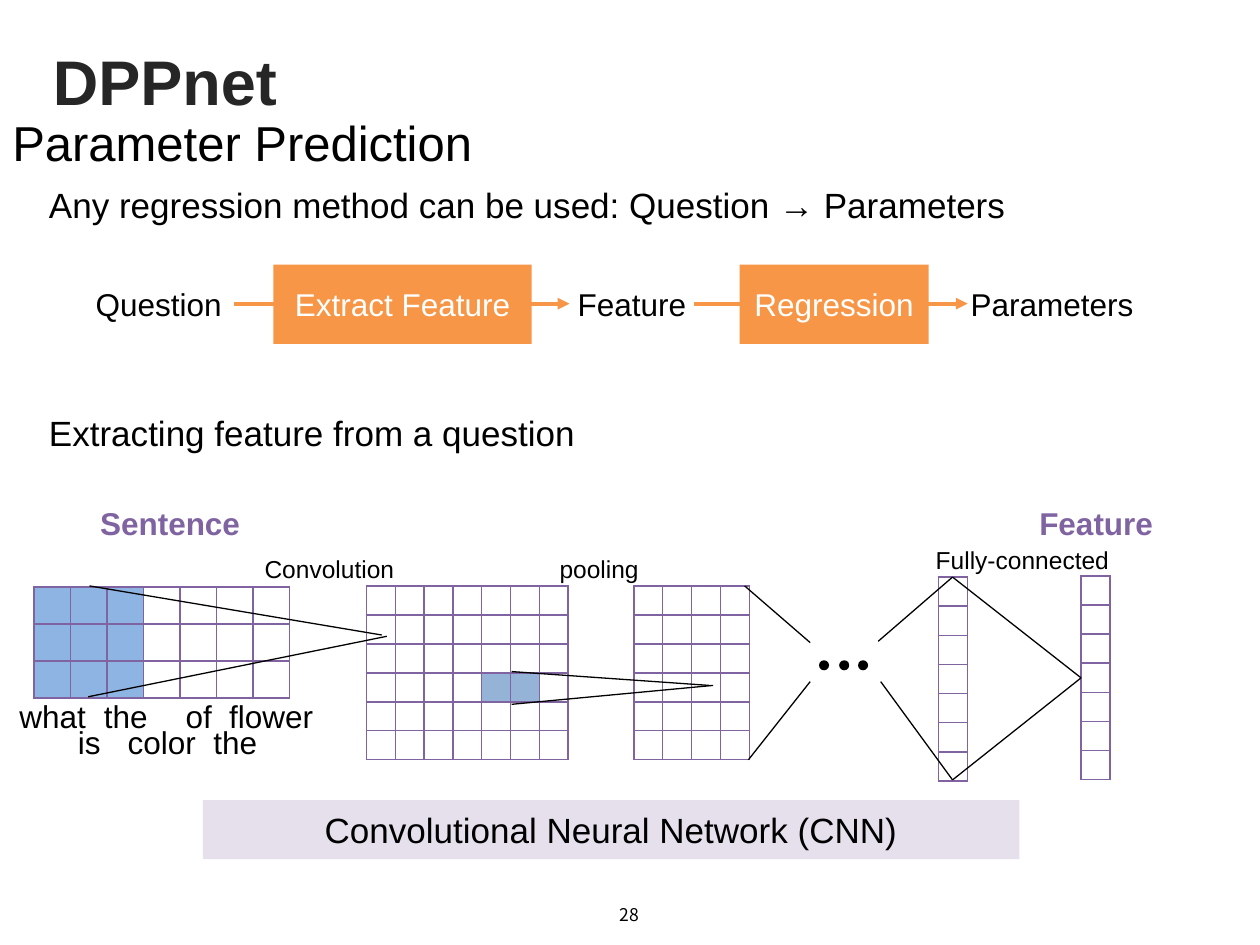
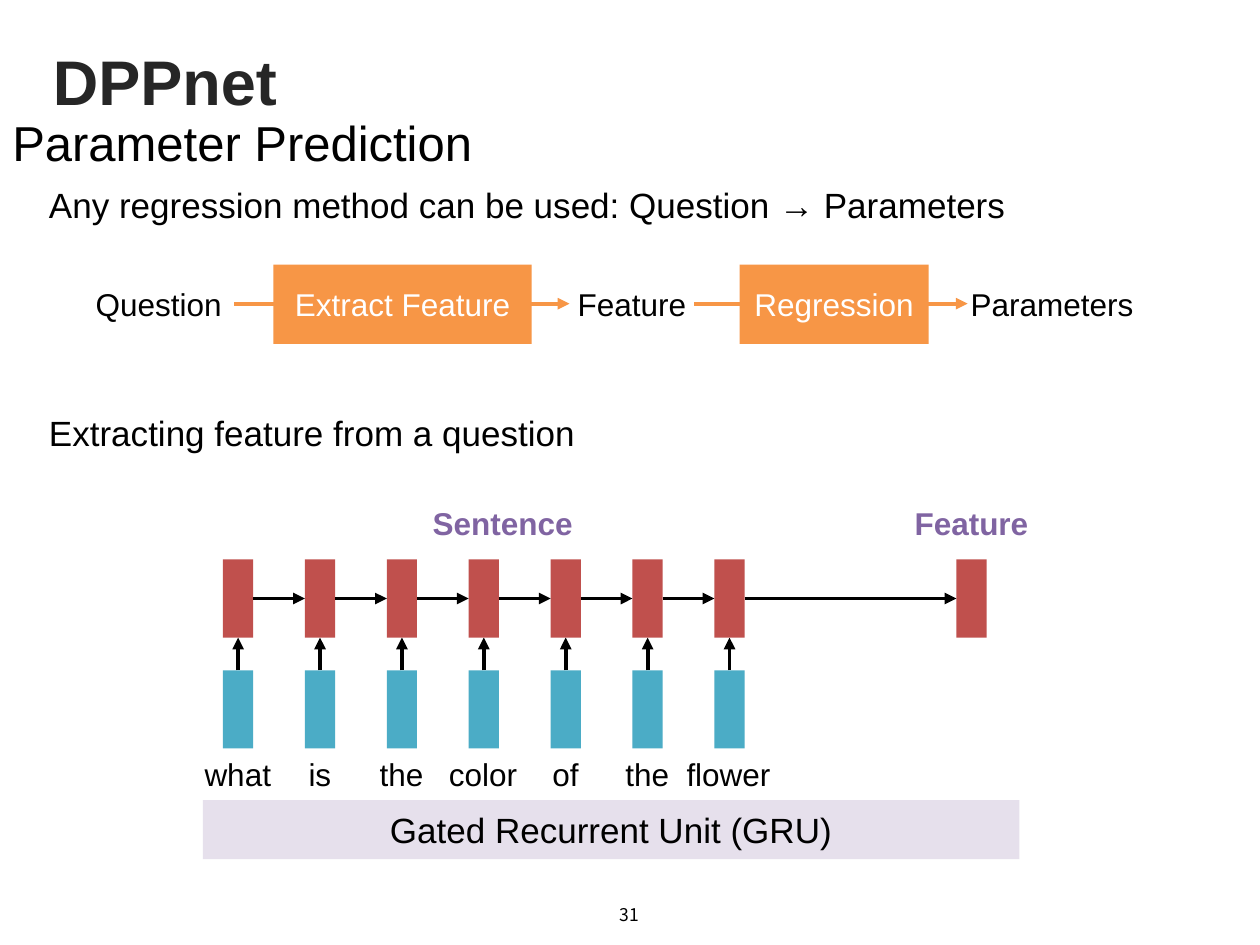
from dataclasses import dataclass, field
from itertools import pairwise
from typing import Any, NamedTuple

import lxml.etree
import pptx
import pptx.dml.color
import pptx.enum.shapes
import pptx.enum.text
import pptx.oxml.ns
import pptx.slide
import pptx.util

Inches = pptx.util.Inches
Align = pptx.enum.text.PP_ALIGN
Anchor = pptx.enum.text.MSO_ANCHOR
Fit = pptx.enum.text.MSO_AUTO_SIZE
Shape = pptx.enum.shapes.MSO_SHAPE
Slide = pptx.slide.Slide
qn = pptx.oxml.ns.qn


@dataclass(frozen=True)
class Theme:
    font: str = "Arial"
    page_font: str = "Noto Sans CJK KR"
    black: str = "000000"
    white: str = "FFFFFF"
    title: str = "262626"
    orange: str = "F79646"
    purple: str = "8064A2"
    pale: str = "E6E0EC"
    sky: str = "8EB4E3"
    steel: str = "95B3D7"
    red: str = "C0504D"
    teal: str = "4BACC6"
    title_size: int = 36
    head_size: int = 28
    body_size: int = 20
    label_size: int = 18
    note_size: int = 14
    page_size: int = 10
    cell_size: int = 6
    thin: float = 0.75
    grid: float = 1
    thick: float = 2.25


THEME = Theme()


class Box(NamedTuple):
    left: float
    top: float
    width: float
    height: float


class Line(NamedTuple):
    x1: float
    y1: float
    x2: float
    y2: float


class Word(NamedTuple):
    text: str
    width: float


@dataclass(frozen=True)
class Style:
    size: int = THEME.label_size
    color: str = THEME.black
    bold: bool = False
    font: str = THEME.font
    align: Any = Align.CENTER
    frame: dict = field(default_factory=dict)


@dataclass(frozen=True)
class Grid:
    box: Box
    cols: int
    rows: int
    fill: str = THEME.white
    marked: tuple = ()


PLAIN = Style()
FLUSH = Style(frame=dict.fromkeys(
    ("margin_left", "margin_right", "margin_top", "margin_bottom"), 0))
TITLE = Style(THEME.title_size, THEME.title, True, align=Align.LEFT)
HEAD = Style(THEME.head_size, align=Align.LEFT)
BODY = Style(THEME.body_size, align=Align.LEFT)
BAND = Style(THEME.body_size)
STAGE = Style(color=THEME.white)
TAG = Style(color=THEME.purple, bold=True)
NOTE = Style(THEME.note_size)
PAGE = Style(THEME.page_size, font=THEME.page_font)
WORD = Style(align=Align.LEFT, frame=dict(
    word_wrap=False, auto_size=Fit.SHAPE_TO_FIT_TEXT, vertical_anchor=Anchor.TOP))

WORDS = [Word("what", 0.73), Word("is", 0.38), Word("the", 0.55),
         Word("color", 0.75), Word("of", 0.41), Word("the", 0.55),
         Word("flower", 0.88)]


# Basic parts

def rgb(code: str) -> pptx.dml.color.RGBColor:
    return pptx.dml.color.RGBColor.from_string(code)


def assign(item: Any, values: dict) -> None:
    for name, value in values.items():
        setattr(item, name, value)


def place(box: Box) -> list:
    return [Inches(side) for side in box]


def write(shape: Any, text: str, style: Style) -> None:
    frame = shape.text_frame
    assign(frame, dict(word_wrap=True, auto_size=Fit.NONE,
                       vertical_anchor=Anchor.MIDDLE) | style.frame)
    line = frame.paragraphs[0]
    line.alignment = style.align
    run = line.add_run()
    run.text = text
    assign(run.font, dict(name=style.font, size=pptx.util.Pt(style.size),
                          bold=style.bold))
    run.font.color.rgb = rgb(style.color)


def label(slide: Slide, box: Box, text: str, style: Style = PLAIN) -> None:
    write(slide.shapes.add_textbox(*place(box)), text, style)


def block(slide: Slide, box: Box, fill: str, text: str = "",
          style: Style = PLAIN, kind: Any = Shape.RECTANGLE) -> None:
    shape = slide.shapes.add_shape(kind, *place(box))
    shape.shadow.inherit = False
    shape.fill.solid()
    shape.fill.fore_color.rgb = rgb(fill)
    shape.line.fill.background()
    if text:
        write(shape, text, style)


def link(slide: Slide, line: Line, color: str = THEME.black,
         width: float = THEME.thin, arrow: bool = False) -> None:
    wire = slide.shapes.add_connector(
        pptx.enum.shapes.MSO_CONNECTOR.STRAIGHT, *[Inches(end) for end in line])
    wire.line.color.rgb = rgb(color)
    wire.line.width = pptx.util.Pt(width)
    props = wire._element.spPr
    if arrow:
        lxml.etree.SubElement(props.find(qn("a:ln")), qn("a:tailEnd"), type="triangle")
    lxml.etree.SubElement(props, qn("a:effectLst"))


def border(cell: Any) -> None:
    props = cell._tc.get_or_add_tcPr()
    for side in ("lnL", "lnR", "lnT", "lnB"):
        edge = lxml.etree.SubElement(props, qn(f"a:{side}"),
                                     w=str(pptx.util.Pt(THEME.grid)))
        fill = lxml.etree.SubElement(edge, qn("a:solidFill"))
        lxml.etree.SubElement(fill, qn("a:srgbClr"), val=THEME.purple)


def matrix(slide: Slide, grid: Grid) -> None:
    table = slide.shapes.add_table(grid.rows, grid.cols, *place(grid.box)).table
    assign(table, dict(first_row=False, horz_banding=False))
    for row in range(grid.rows):
        for col in range(grid.cols):
            cell = table.cell(row, col)
            assign(cell, FLUSH.frame)
            lxml.etree.SubElement(cell.text_frame.paragraphs[0]._p,
                                  qn("a:endParaRPr"), sz=str(THEME.cell_size * 100))
            border(cell)
            cell.fill.solid()
            cell.fill.fore_color.rgb = rgb(
                grid.fill if (row, col) in grid.marked else THEME.white)


# Content shared by both slides

def start(deck: Any, page: str, model: str, tags: dict) -> Slide:
    slide = deck.slides.add_slide(deck.slide_layouts[5])
    title = slide.shapes.title
    assign(title, dict(zip(("left", "top", "width", "height"),
                           place(Box(0.32, 0.28, 9.38, 0.72)))))
    write(title, "DPPnet", TITLE)
    label(slide, Box(3.83, 7.06, 2.33, 0.4), page, PAGE)
    label(slide, Box(0, 0.8, 10, 0.66), "Parameter Prediction", HEAD)
    for top, text in ((1.39, "Any regression method can be used: Question → Parameters"),
                      (3.2, "Extracting feature from a question")):
        label(slide, Box(0.29, top, 9.71, 0.47), text, BODY)

    # Flow from question to parameters
    for left, right in ((5.51, 7.68), (1.86, 4.52)):
        link(slide, Line(left, 2.41, right, 2.41), THEME.orange, THEME.thick, True)
    for left, width, text in ((0.66, 1.2, "Question"), (4.52, 0.99, "Feature"),
                              (7.68, 1.34, "Parameters")):
        label(slide, Box(left, 2.1, width, 0.63), text, FLUSH)
    for left, width, text in ((2.17, 2.05, "Extract Feature"), (5.87, 1.5, "Regression")):
        block(slide, Box(left, 2.1, width, 0.63), THEME.orange, text, STAGE)

    # Model band and purple tags
    block(slide, Box(1.61, 6.35, 6.48, 0.47), THEME.pale, model, BAND)
    for text, left in tags.items():
        label(slide, Box(left, 4.03, 1.88, 0.24), text, TAG)
    return slide


def spread(slide: Slide, first: float, pitch: float, top: float,
           drop: float = 0) -> None:
    """Centre the words at equal steps, lowering every second one."""
    for i, word in enumerate(WORDS):
        left = first + i * pitch - word.width / 2
        label(slide, Box(left, top + i % 2 * drop, word.width, 0.4), word.text, WORD)


# Convolutional network

def draw_cnn(deck: Any) -> None:
    slide = start(deck, "28", "Convolutional Neural Network (CNN)",
                  {"Sentence": 0.41, "Feature": 7.76})
    spread(slide, 0.42, 0.29, 5.48, 0.21)
    window = tuple((row, col) for row in range(3) for col in range(3))
    for grid in (Grid(Box(0.27, 4.66, 2.03, 0.88), 7, 3, THEME.sky, window),
                 Grid(Box(2.91, 4.65, 1.6, 1.38), 7, 6, THEME.steel, ((3, 4), (3, 5))),
                 Grid(Box(5.03, 4.65, 0.92, 1.38), 4, 6),
                 Grid(Box(7.45, 4.58, 0.23, 1.62), 1, 7),
                 Grid(Box(8.58, 4.57, 0.23, 1.62), 1, 7)):
        matrix(slide, grid)
    for line in (Line(0.71, 4.65, 3.03, 5.04), Line(0.7, 5.53, 3.07, 5.05),
                 Line(4.06, 5.33, 5.63, 5.44), Line(4.06, 5.59, 5.66, 5.44),
                 Line(5.91, 4.65, 6.43, 5.1), Line(5.94, 6.03, 6.43, 5.41),
                 Line(6.97, 5.09, 7.56, 4.58), Line(6.99, 5.41, 7.56, 6.19),
                 Line(7.56, 4.58, 8.58, 5.38), Line(7.56, 6.19, 8.58, 5.38)):
        link(slide, line)
    for left in (6.5, 6.66, 6.81):
        block(slide, Box(left, 5.24, 0.08, 0.08), THEME.black, kind=Shape.OVAL)
    for box, text in ((Box(1.88, 4.41, 1.47, 0.2), "Convolution"),
                      (Box(4.02, 4.41, 1.47, 0.2), "pooling"),
                      (Box(7.3, 4.33, 1.63, 0.23), "Fully-connected")):
        label(slide, box, text, NOTE)


# Recurrent network

def draw_gru(deck: Any) -> None:
    slide = start(deck, "31", "Gated Recurrent Unit (GRU)",
                  {"Sentence": 3.05, "Feature": 6.77})
    first, pitch, width, height = 1.77, 0.65, 0.24, 0.62
    state, token = 4.44, 5.32
    spread(slide, first + width / 2, pitch, 5.94)
    steps = [first + i * pitch for i in range(len(WORDS))]
    states = steps + [7.59]
    for left in steps:
        block(slide, Box(left, token, width, height), THEME.teal)
        mid = left + width / 2
        link(slide, Line(mid, token, mid, state + height), width=THEME.thick, arrow=True)
    for left in states:
        block(slide, Box(left, state, width, height), THEME.red)
    level = state + height / 2
    for left, right in pairwise(states):
        link(slide, Line(left + width, level, right, level), width=THEME.thick, arrow=True)


def main() -> None:
    deck = pptx.Presentation()
    assign(deck, dict(slide_width=Inches(10), slide_height=Inches(7.5)))
    draw_cnn(deck)
    draw_gru(deck)
    deck.save("out.pptx")


if __name__ == "__main__":
    main()
